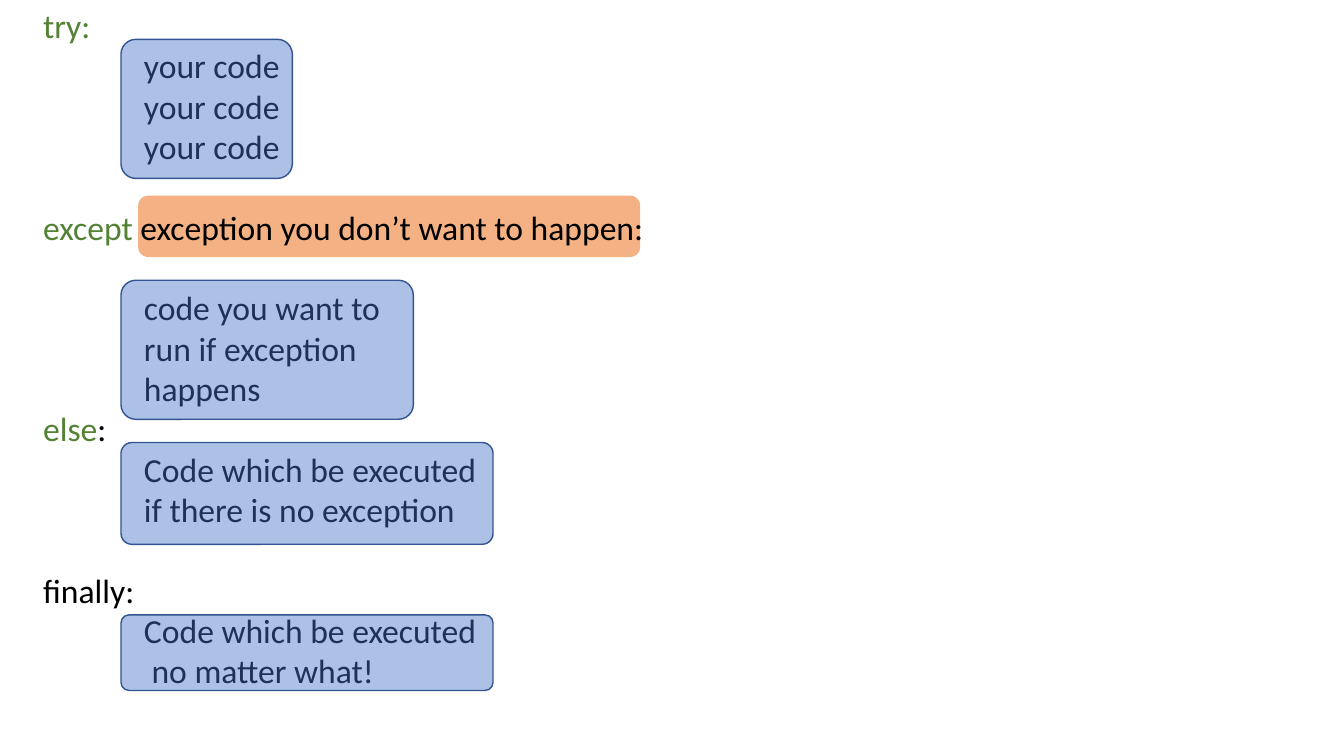
from lxml import etree
from pptx import Presentation
from pptx.dml.color import RGBColor
from pptx.enum.shapes import MSO_SHAPE
from pptx.oxml.ns import qn
from pptx.util import Inches, Pt

ROUND = MSO_SHAPE.ROUNDED_RECTANGLE
BLANK = 6
FONT = "Calibri"
SIZE = Pt(24)
GAP = Pt(28.8)
COLORS = {
    "key": "548235",
    "text": "000000",
    "error": "F4B183",
    "block": "4472C4",
    "edge": "325491",
}

# Each clause: gap above, head runs, gap above the body, body lines
CLAUSES = [
    (0, [("try:", "key")], 0, ["your code"] * 3),
    (GAP, [("except", "key"), (" exception you don’t want to happen:", "text")],
     GAP, ["code you want to", "run if exception", "happens"]),
    (0, [("else", "key"), (":", "text")],
     0, ["Code which be executed", "if there is no exception"]),
    (GAP, [("finally:", "text")],
     0, ["Code which be executed", " no matter what!"]),
]

# Top, width and height of the block over each body
BLOCKS = [
    (0.39, 1.7, 1.38),
    (2.78, 2.9, 1.38),
    (4.39, 3.69, 1.01),
    (6.1, 3.69, 0.75),
]


def color(name):
    return RGBColor.from_string(COLORS[name])


def add_box(slide, left, top, width, height, fill):
    box = slide.shapes.add_shape(
        ROUND, Inches(left), Inches(top), Inches(width), Inches(height))
    box.shadow.inherit = False
    box.fill.solid()
    box.fill.fore_color.rgb = color(fill)
    box.line.fill.background()
    return box


def add_block(slide, top, width, height):
    """Add a see-through box that covers the body of one clause."""
    box = add_box(slide, 1.2, top, width, height, "block")
    box.adjustments[0] = 0.107
    box.line.color.rgb = color("edge")
    box.line.width = Pt(1)
    tint = box.fill._xPr.find(qn("a:solidFill"))[0]
    etree.SubElement(tint, qn("a:alpha"), val="44000")


def add_line(frame, runs, gap=0, indent=0):
    """Add a paragraph, using the empty first one when it is free."""
    para = frame.paragraphs[0]
    if para.runs:
        para = frame.add_paragraph()
    para.space_before = gap
    if indent:
        para._p.get_or_add_pPr().set("marL", str(Inches(indent)))
    for words, tone in runs:
        run = para.add_run()
        run.text = words
        run.font.name = FONT
        run.font.size = SIZE
        run.font.color.rgb = color(tone)


def add_code(slide):
    box = slide.shapes.add_textbox(
        Inches(0.33), Inches(0), Inches(9.14), Inches(7.37))
    frame = box.text_frame
    frame.word_wrap = True
    for gap, head, inner, body in CLAUSES:
        add_line(frame, head, gap)
        for row, words in enumerate(body):
            add_line(frame, [(words, "text")], 0 if row else inner, 1)


def main():
    deck = Presentation()
    deck.slide_width = Inches(13.33)
    deck.slide_height = Inches(7.5)
    slide = deck.slides.add_slide(deck.slide_layouts[BLANK])
    add_box(slide, 1.37, 1.94, 4.98, 0.61, "error")
    add_code(slide)
    for block in BLOCKS:
        add_block(slide, *block)
    deck.save("out.pptx")


if __name__ == "__main__":
    main()
